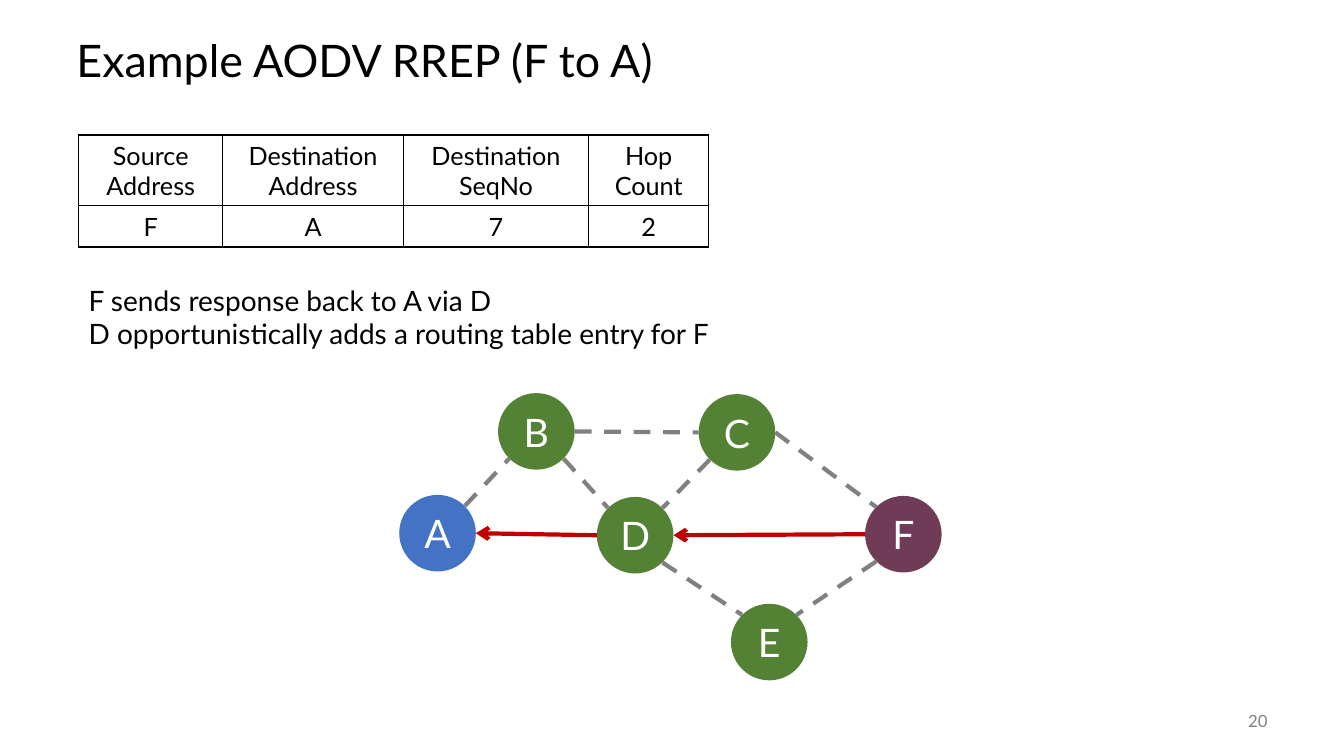
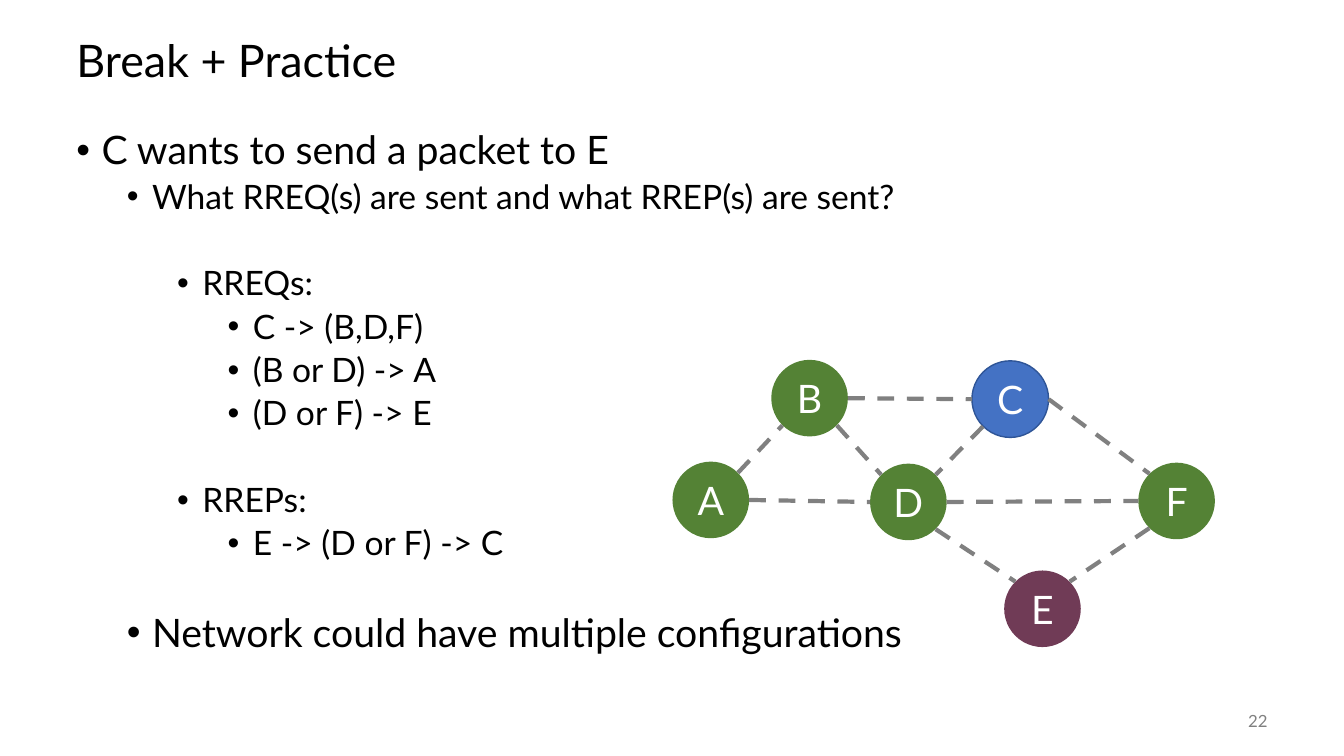
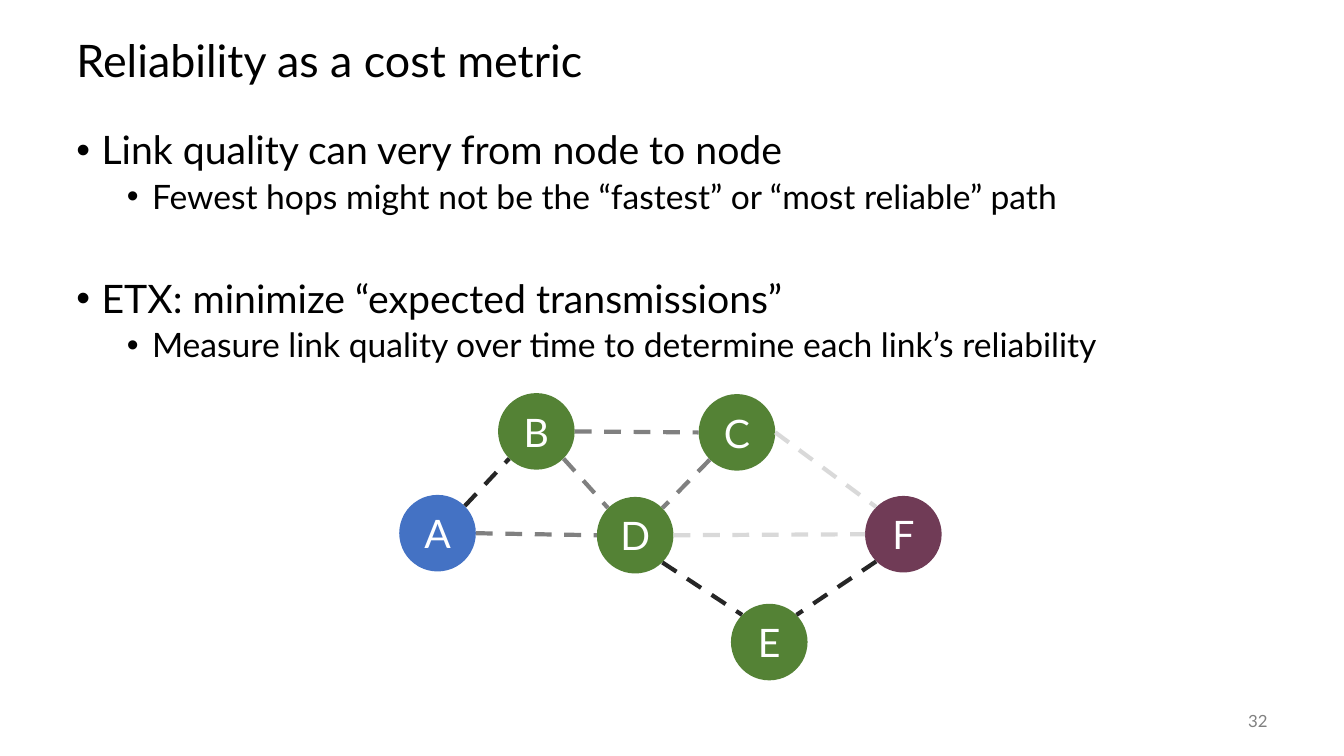
from pptx import Presentation
from pptx.dml.color import RGBColor
from pptx.enum.dml import MSO_LINE
from pptx.enum.shapes import MSO_CONNECTOR, MSO_SHAPE
from pptx.enum.text import MSO_ANCHOR, PP_ALIGN
from pptx.oxml import parse_xml
from pptx.oxml.ns import nsdecls, qn
from pptx.oxml.xmlchemy import OxmlElement
from pptx.util import Inches, Pt

LEFT, CENTER, RIGHT = PP_ALIGN.LEFT, PP_ALIGN.CENTER, PP_ALIGN.RIGHT
TOP, MIDDLE = MSO_ANCHOR.TOP, MSO_ANCHOR.MIDDLE
OVAL, STRAIGHT, DASH = MSO_SHAPE.OVAL, MSO_CONNECTOR.STRAIGHT, MSO_LINE.DASH

FONT = "Lato"
COLORS = {
    "text": "000000", "white": "FFFFFF", "muted": "808080",
    "source": "4472C4", "source outline": "2F5597", "relay": "548235", "target": "703B56",
    "medium": "808080", "strong": "262626", "weak": "D9D9D9", "route": "C00000",
}

# Network geometry in inches: node centers, and the sides that each link joins
DIAMETER = 0.76
NODE_CENTERS = {
    "A": (4.34, 5.29), "B": (5.32, 4.28), "C": (7.31, 4.29),
    "D": (6.3, 5.31), "E": (7.63, 6.37), "F": (8.96, 5.3),
}
DIAGONAL = 0.27
SIDES = {
    "left": (-DIAMETER / 2, 0), "right": (DIAMETER / 2, 0),
    "top left": (-DIAGONAL, -DIAGONAL), "top right": (DIAGONAL, -DIAGONAL),
    "bottom left": (-DIAGONAL, DIAGONAL), "bottom right": (DIAGONAL, DIAGONAL),
}
LINKS = {
    "AB": ("top right", "bottom left"), "BC": ("right", "left"),
    "BD": ("bottom right", "top left"), "CD": ("bottom left", "top right"),
    "CF": ("right", "top left"), "DF": ("right", "left"),
    "DE": ("bottom right", "top left"), "FE": ("bottom left", "top right"),
    "AD": ("right", "left"),
}

# Bullets are (level, text, size, space before)
SLIDES = [
    {
        "title": "Example AODV RREP (F to A)", "number": "20",
        "table": [["Source Address", "Destination Address", "Destination\nSeqNo", "Hop Count"],
                  ["F", "A", "7", "2"]],
        "remarks": ["F sends response back to A via D",
                    "D opportunistically adds a routing table entry for F"],
        "source": "A", "target": "F",
        "links": {"AD": "route", "DF": "route"},
    },
    {
        "title": "Break + Practice", "number": "22",
        "bullets": [
            (0, "C wants to send a packet to E", 28, 0),
            (1, "What RREQ(s) are sent and what RREP(s) are sent?", 24, 5),
            (2, "RREQs:", 24, 36),
            (3, "C -> (B,D,F)", 24, 5),
            (3, "(B or D) -> A", 24, 5),
            (3, "(D or F) -> E", 24, 5),
            (2, "RREPs:", 24, 36),
            (3, "E -> (D or F) -> C", 24, 5),
            (1, "Network could have multiple configurations", 28, 36),
        ],
        "source": "C", "target": "E", "outlined": "C",
        "offset": (2.71, -0.33),
    },
    {
        "title": "Reliability as a cost metric", "number": "32",
        "bullets": [
            (0, "Link quality can very from node to node", 28, 0),
            (1, "Fewest hops might not be the “fastest” or “most reliable” path", 24, 5),
            (0, "ETX: minimize “expected transmissions”", 28, 45),
            (1, "Measure link quality over time to determine each link’s reliability", 24, 5),
        ],
        "source": "A", "target": "F",
        "links": {"AB": "strong", "DE": "strong", "FE": "strong", "CF": "weak", "DF": "weak"},
    },
]


def write_paragraph(paragraph, text, size, color="text", alignment=LEFT, **formats):
    paragraph.text = text
    for name, value in {"alignment": alignment, **formats}.items():
        setattr(paragraph, name, value)
    for run in paragraph.runs:
        run.font.name = FONT
        run.font.size = Pt(size)
        run.font.color.rgb = RGBColor.from_string(COLORS[color])


def add_text_frame(slide, left, top, width, height, anchor=TOP):
    box = slide.shapes.add_textbox(Inches(left), Inches(top), Inches(width), Inches(height))
    box.text_frame.word_wrap = True
    box.text_frame.vertical_anchor = anchor
    return box.text_frame


presentation = Presentation()
presentation.slide_width = Inches(13.33)
presentation.slide_height = Inches(7.5)

for content in SLIDES:
    slide = presentation.slides.add_slide(presentation.slide_layouts[6])
    title = add_text_frame(slide, 0.66, 0.25, 12, 0.75, MIDDLE)
    write_paragraph(title.paragraphs[0], content["title"], 32, line_spacing=0.9)
    number = add_text_frame(slide, 11.67, 6.95, 1, 0.4, MIDDLE)
    write_paragraph(number.paragraphs[0], content["number"], 12, "muted", RIGHT)

    if "bullets" in content:
        body = add_text_frame(slide, 0.66, 1.25, 12, 5.5)
        for index, (level, text, size, space) in enumerate(content["bullets"]):
            paragraph = body.add_paragraph() if index else body.paragraphs[0]
            properties = paragraph._p.get_or_add_pPr()
            properties.set("marL", str(Inches(0.25 + 0.5 * level)))
            properties.set("indent", str(Inches(-0.25)))
            bullet_font = OxmlElement("a:buFont")
            bullet_font.set("typeface", "Arial")
            bullet = OxmlElement("a:buChar")
            bullet.set("char", "•")
            properties.extend([bullet_font, bullet])
            write_paragraph(paragraph, text, size, level=level,
                            line_spacing=0.9, space_before=Pt(space))

    if "table" in content:
        table = slide.shapes.add_table(2, 4, Inches(0.78), Inches(1.34),
                                       Inches(6.25), Inches(1.11)).table
        table.first_row = table.horz_banding = False
        for column, width in zip(table.columns, (1.43, 1.79, 1.84, 1.19)):
            column.width = Inches(width)
        for row, height, texts in zip(table.rows, (0.7, 0.41), content["table"]):
            row.height = Inches(height)
            for cell, text in zip(row.cells, texts):
                cell.vertical_anchor = MIDDLE
                cell.fill.background()
                write_paragraph(cell.text_frame.paragraphs[0], text, 18, alignment=CENTER)
                for position, edge in enumerate(("lnL", "lnR", "lnT", "lnB")):
                    border = parse_xml(
                        f'<a:{edge} {nsdecls("a")} w="{Pt(1)}"><a:solidFill>'
                        f'<a:srgbClr val="{COLORS["text"]}"/></a:solidFill></a:{edge}>')
                    cell._tc.get_or_add_tcPr().insert(position, border)

    if "remarks" in content:
        remarks = add_text_frame(slide, 0.78, 2.76, 11.38, 0.77)
        for index, text in enumerate(content["remarks"]):
            paragraph = remarks.add_paragraph() if index else remarks.paragraphs[0]
            write_paragraph(paragraph, text, 20)

    shift_x, shift_y = content.get("offset", (0, 0))
    centers = {name: (x + shift_x, y + shift_y) for name, (x, y) in NODE_CENTERS.items()}
    roles = {content["source"]: "source", content["target"]: "target"}
    for name, (x, y) in centers.items():
        node = slide.shapes.add_shape(OVAL, Inches(x - DIAMETER / 2), Inches(y - DIAMETER / 2),
                                      Inches(DIAMETER), Inches(DIAMETER))
        node.shadow.inherit = False
        node.fill.solid()
        node.fill.fore_color.rgb = RGBColor.from_string(COLORS[roles.get(name, "relay")])
        if name == content.get("outlined"):
            node.line.color.rgb = RGBColor.from_string(COLORS["source outline"])
            node.line.width = Pt(1)
        else:
            node.line.fill.background()
        node.text_frame.vertical_anchor = MIDDLE
        write_paragraph(node.text_frame.paragraphs[0], name, 28, "white", CENTER)

    for link, sides in LINKS.items():
        ends = []
        for name, side in zip(link, sides):
            ends += [Inches(center + step) for center, step in zip(centers[name], SIDES[side])]
        kind = content.get("links", {}).get(link, "medium")
        connector = slide.shapes.add_connector(STRAIGHT, *ends)
        connector.line.color.rgb = RGBColor.from_string(COLORS[kind])
        connector.line.width = Pt(3)
        properties = connector._element.spPr
        if kind == "route":
            arrowhead = OxmlElement("a:headEnd")
            arrowhead.set("type", "arrow")
            properties.find(qn("a:ln")).append(arrowhead)
        else:
            connector.line.dash_style = DASH
        properties.append(OxmlElement("a:effectLst"))

presentation.save("out.pptx")
